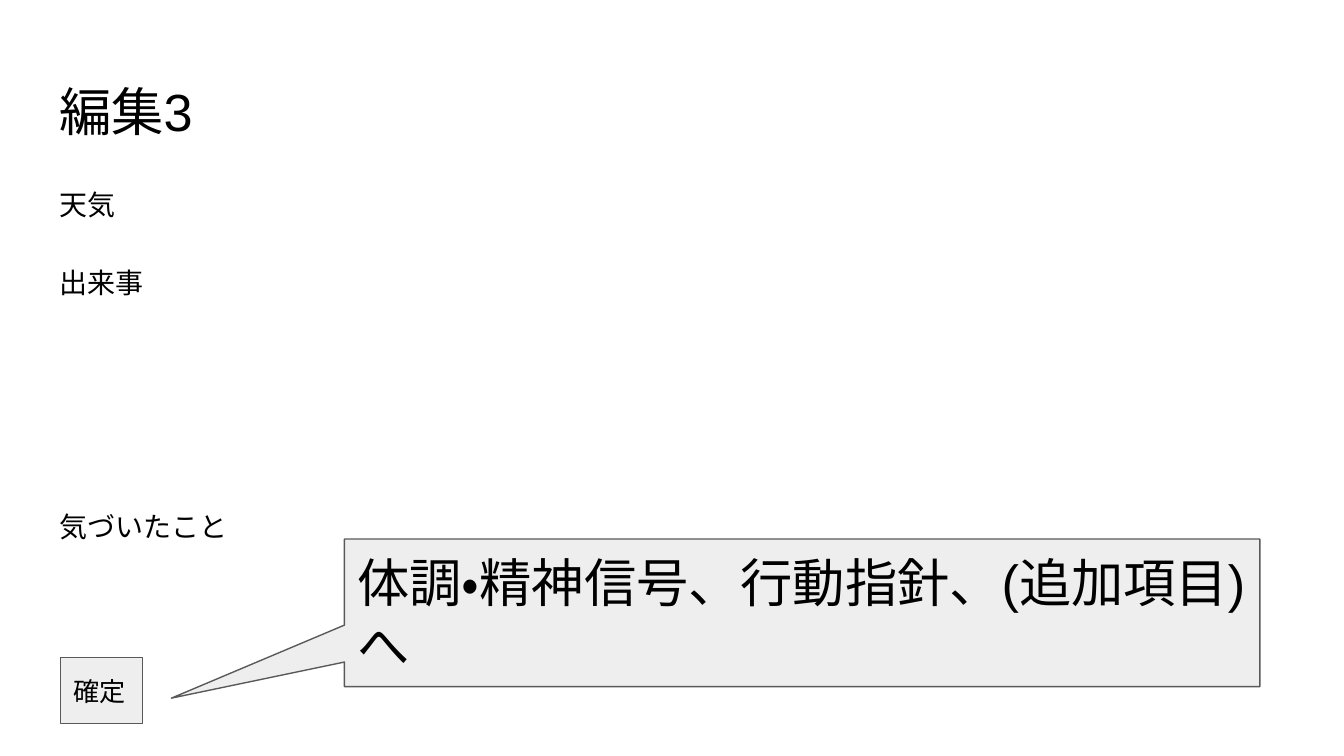
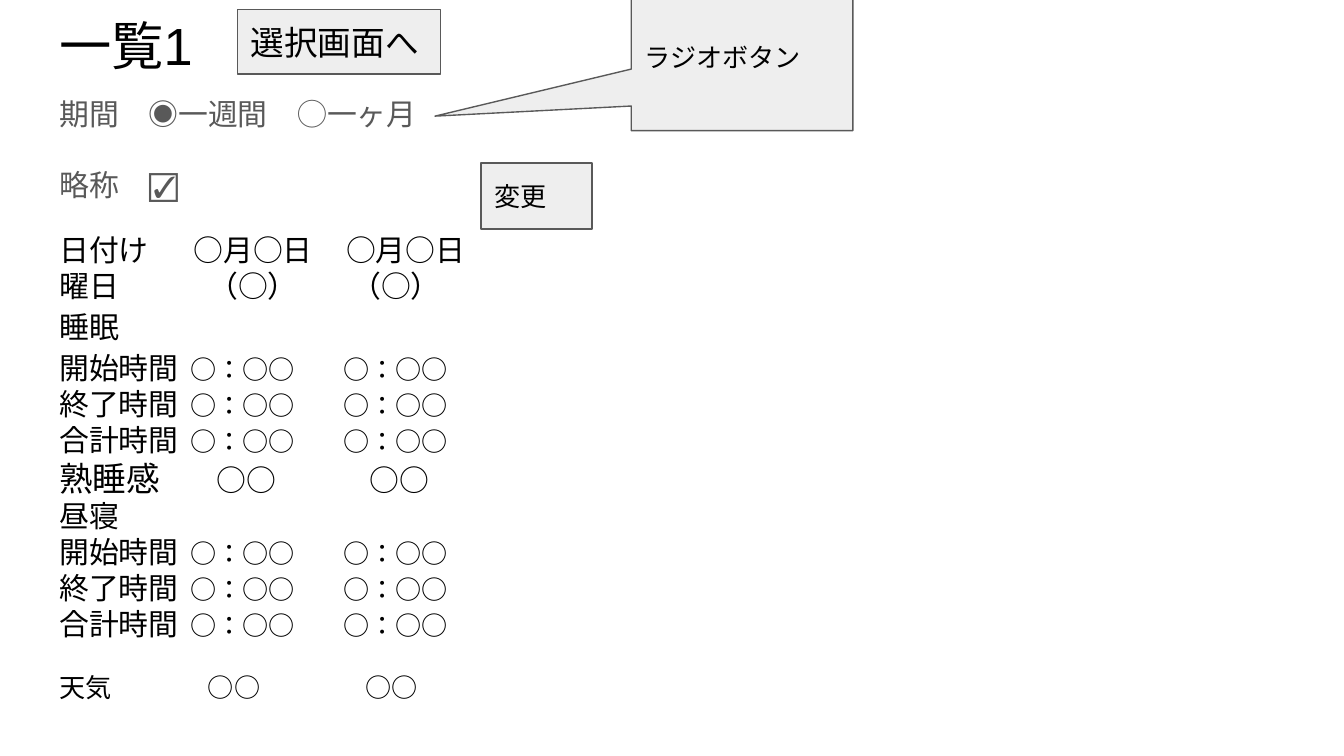
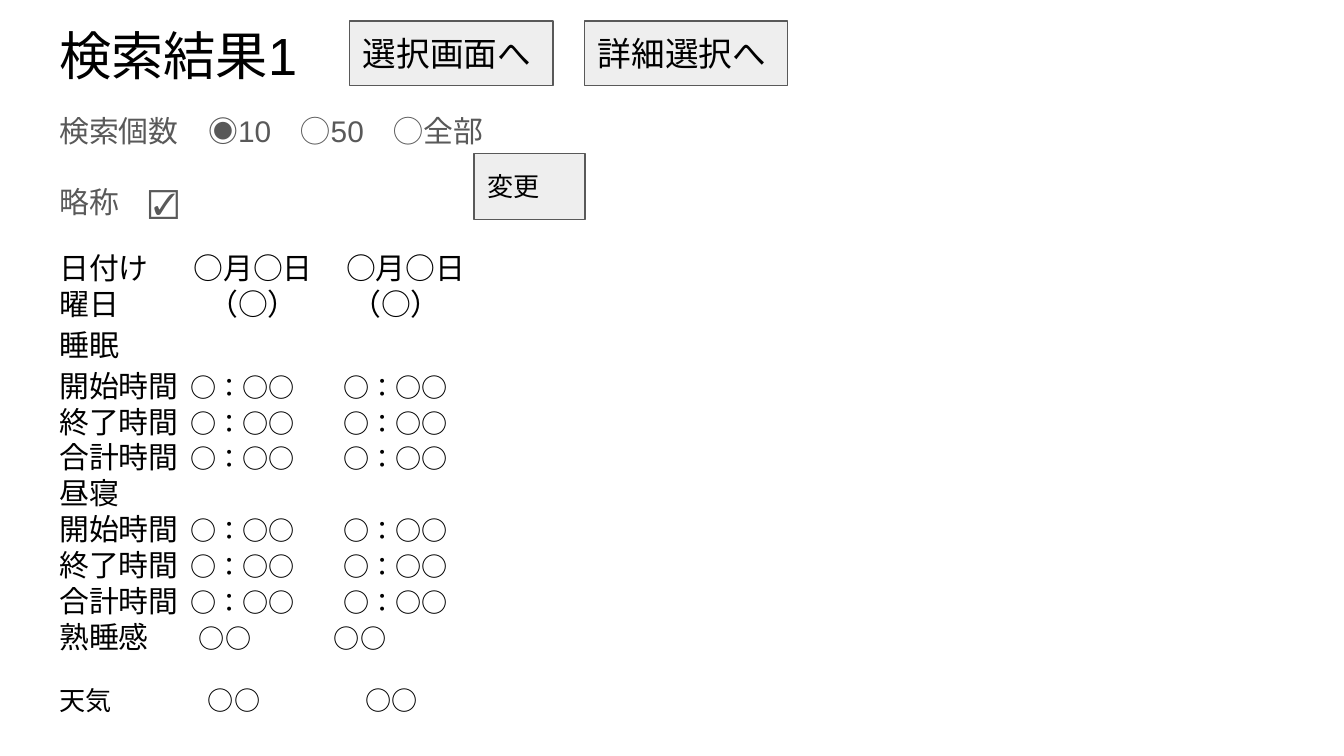
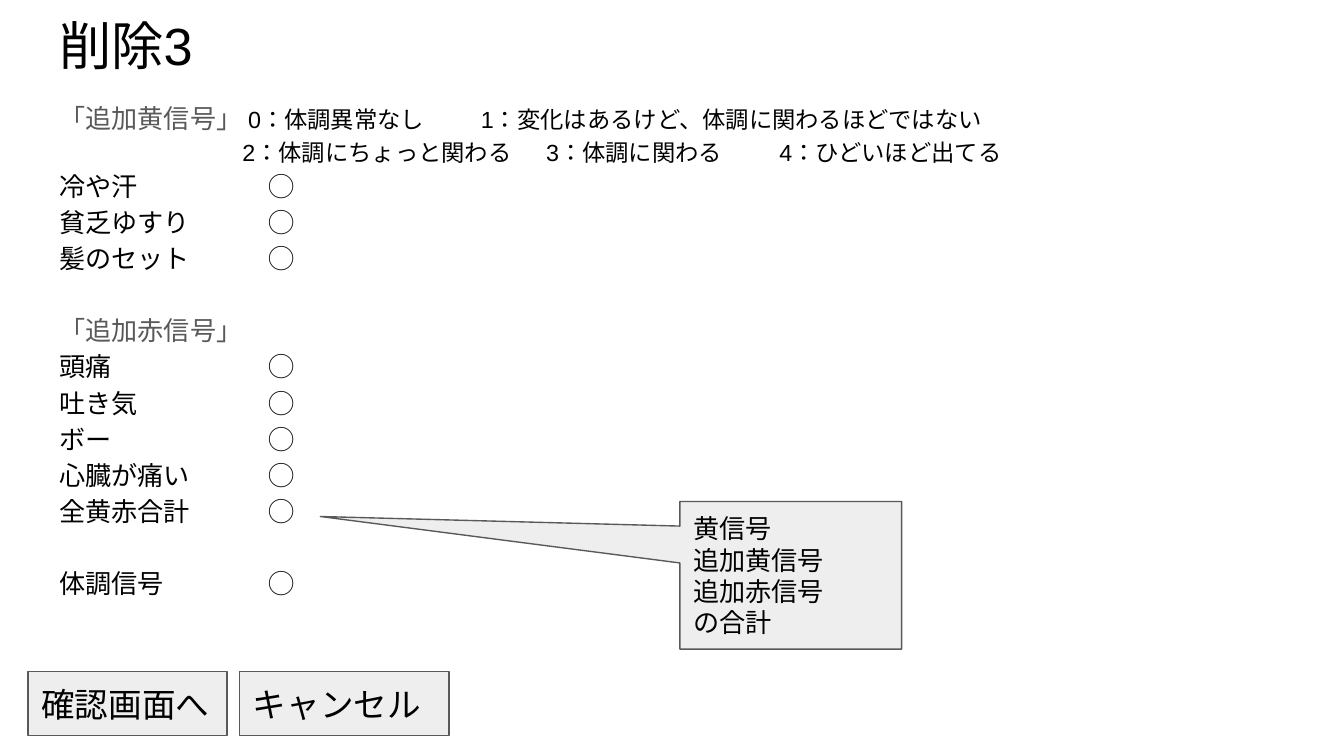
from lxml import etree
from pptx import Presentation
from pptx.dml.color import RGBColor
from pptx.enum.lang import MSO_LANGUAGE_ID as Language
from pptx.enum.shapes import MSO_SHAPE as Shape
from pptx.enum.text import MSO_ANCHOR as Anchor, MSO_AUTO_SIZE as AutoSize, PP_ALIGN as Align
from pptx.oxml.ns import qn
from pptx.util import Cm, Pt

# Shared look
BLACK = RGBColor(0x00, 0x00, 0x00)
GREY = RGBColor(0x59, 0x59, 0x59)
PALE = RGBColor(0xEE, 0xEE, 0xEE)
LOOSE = 1.15
LEFT, WIDTH, TITLE_HEIGHT = 0.87, 23.67, 1.6
INSET = Cm(0.25)
FRAME = {"margin_left": INSET, "margin_right": INSET, "margin_top": INSET,
         "margin_bottom": INSET, "word_wrap": True, "auto_size": AutoSize.NONE}
PARAGRAPH = {"alignment": Align.LEFT, "line_spacing": 1.0,
             "space_before": Pt(0), "space_after": Pt(0)}
FONT = {"name": "Arial", "language_id": Language.JAPANESE}


def apply(target, values):
    for name, value in values.items():
        setattr(target, name, value)


def write(frame, rows, anchor):
    """Fill a frame; a row is (spans, line spacing, points before, tab stops in cm)."""
    apply(frame, FRAME | {"vertical_anchor": anchor})
    for index, (spans, spacing, before, stops) in enumerate(rows):
        para = frame.add_paragraph() if index else frame.paragraphs[0]
        apply(para, PARAGRAPH | {"line_spacing": spacing, "space_before": Pt(before)})
        properties = para._p.get_or_add_pPr()
        properties.set("marL", "0")
        etree.SubElement(properties, qn("a:buNone"))
        if stops:
            tab_list = etree.SubElement(properties, qn("a:tabLst"))
            for stop in stops:
                etree.SubElement(tab_list, qn("a:tab"), pos=str(Cm(stop)), algn="l")
        for text, size, colour in spans:
            span = para.add_run()
            span.text = text
            apply(span.font, FONT | {"size": Pt(size)})
            span.font.color.rgb = colour


# Diary entry rows
diary_rows = [
    ([("天気", 15, BLACK)], LOOSE, 0, ()),
    ([("出来事", 15, BLACK)], LOOSE, 21, ()),
    ([("気づいたこと", 15, BLACK)], LOOSE, 110.3, ()),
]

# Rows shared by the list and the search result
heading_rows = [
    ([("略称　☑\ufe0f", 16, GREY)], LOOSE, 16, ()),
    ([("日付け\t○月○日\t○月○日", 16, BLACK)], 1.0, 16, (2.54, 5.42)),
    ([("曜日\t（○）\t（○）", 16, BLACK)], 1.0, 0, (2.82, 5.52)),
    ([("睡眠", 16, BLACK)], LOOSE, 0, ()),
]
sleep_rows, nap_rows = [
    [([(label, 16, BLACK), ("\t○：○○\t○：○○", 14, BLACK)],
      first_spacing if label == "開始時間" else 1.0, 0, (2.48, 5.37))
     for label in ("開始時間", "終了時間", "合計時間")]
    for first_spacing in (LOOSE, 1.0)
]
nap_rows.insert(0, ([("昼寝", 16, BLACK)], 1.0, 0, ()))
weather_row = ([("天気\t○○\t○○", 14, BLACK)], 1.0, 16.3, (2.81, 5.78))

list_rows = [
    ([("期間　◉一週間　◯一ヶ月", 16, GREY)], LOOSE, 0, ()),
    *heading_rows, *sleep_rows,
    ([("熟睡感", 18, BLACK), ("\t○○\t○○", 16, BLACK)], 1.0, 0, (2.98, 5.87)),
    *nap_rows, weather_row,
]
result_rows = [
    ([("検索個数　◉10　◯50　◯全部", 16, GREY)], LOOSE, 0, ()),
    *heading_rows, *sleep_rows, *nap_rows,
    ([("熟睡感", 16, BLACK), ("\t○○\t○○", 14, BLACK)], 1.0, 0, (2.64, 5.19)),
    weather_row,
]

# Signal rows: scale, then one mark per symptom
signal_rows = [
    ([("「追加黄信号」", 14, GREY),
      ("\t0：体調異常なし\t1：変化はあるけど、体調に関わるほどではない", 12.5, BLACK)],
     LOOSE, 0, (3.57, 7.97)),
    ([("\t2：体調にちょっと関わる\t3：体調に関わる\t4：ひどいほど出てる", 12.5, BLACK)],
     LOOSE, 0, (3.46, 9.2, 13.61)),
]
for label, before in [("冷や汗", 0), ("貧乏ゆすり", 0), ("髪のセット", 0),
                      ("「追加赤信号」", 19.3), ("頭痛", 0), ("吐き気", 0), ("ボー", 0),
                      ("心臓が痛い", 0), ("全黄赤合計", 0), ("体調信号", 19.3)]:
    if label.startswith("「"):
        signal_rows.append(([(label, 14, GREY)], LOOSE, before, ()))
    else:
        signal_rows.append(([(label + "\t◯", 14, BLACK)], LOOSE, before, (3.95,)))

# Pages: title, title top, body top and height, body rows,
# boxes as (lines, size, left, top, width, height, callout tip or None)
pages = [
    ("編集3", 1.24, 3.2, 9.5, diary_rows, [
        (["確定"], 14, 1.14, 12.43, 1.55, 1.25, None),
        (["体調・精神信号、行動指針、(追加項目)へ"], 28, 6.51, 10.19, 17.3, 2.79, (-0.689, 0.578)),
    ]),
    ("一覧1", 0, 1.45, 12.14, list_rows, [
        (["ラジオボタン"], 14, 11.93, -0.32, 4.19, 2.79, (-1.385, 0.402)),
        (["変更"], 14, 9.09, 3.08, 2.1, 1.25, None),
        (["選択画面へ"], 18, 4.49, 0.18, 3.84, 1.22, None),
    ]),
    ("検索結果1", 0.18, 1.78, 11.76, result_rows, [
        (["変更"], 14, 8.96, 2.9, 2.1, 1.25, None),
        (["選択画面へ"], 18, 6.61, 0.4, 3.84, 1.22, None),
        (["詳細選択へ"], 18, 11.05, 0.4, 3.84, 1.22, None),
    ]),
    ("削除3", 0, 1.6, 9.5, signal_rows, [
        (["黄信号", "追加黄信号", "追加赤信号", "の合計"], 14,
         12.85, 9.48, 4.19, 2.79, (-2.122, -0.398)),
        (["確認画面へ"], 18, 0.53, 12.69, 3.76, 1.22, None),
        (["キャンセル"], 18, 4.53, 12.69, 3.96, 1.22, None),
    ]),
]

deck = Presentation()
apply(deck, {"slide_width": Cm(25.4), "slide_height": Cm(14.29)})

# The body style has no hanging indent, so that tab stops hold
for level in deck.slide_master.element.iter(qn("a:lvl1pPr")):
    level.attrib.pop("indent", None)
    level.set("marL", "0")

for title, title_top, body_top, body_height, body_rows, boxes in pages:
    page = deck.slides.add_slide(deck.slide_layouts[1])

    # Title and list
    title_rows = [([(title, 28, BLACK)], 1.0, 0, ())]
    for holder, top, height, rows in [
            (page.shapes.title, title_top, TITLE_HEIGHT, title_rows),
            (page.placeholders[1], body_top, body_height, body_rows)]:
        apply(holder, {"left": Cm(LEFT), "top": Cm(top),
                       "width": Cm(WIDTH), "height": Cm(height)})
        write(holder.text_frame, rows, Anchor.TOP)

    # Buttons and callouts
    for lines, size, left, top, width, height, tip in boxes:
        kind = Shape.RECTANGULAR_CALLOUT if tip else Shape.RECTANGLE
        box = page.shapes.add_shape(kind, Cm(left), Cm(top), Cm(width), Cm(height))
        box.shadow.inherit = False
        box.fill.solid()
        box.fill.fore_color.rgb = PALE
        box.line.color.rgb = GREY
        box.line.width = Pt(0.75)
        for index, value in enumerate(tip or ()):
            box.adjustments[index] = value
        write(box.text_frame, [([(line, size, BLACK)], 1.0, 0, ()) for line in lines],
              Anchor.MIDDLE)

deck.save("out.pptx")
